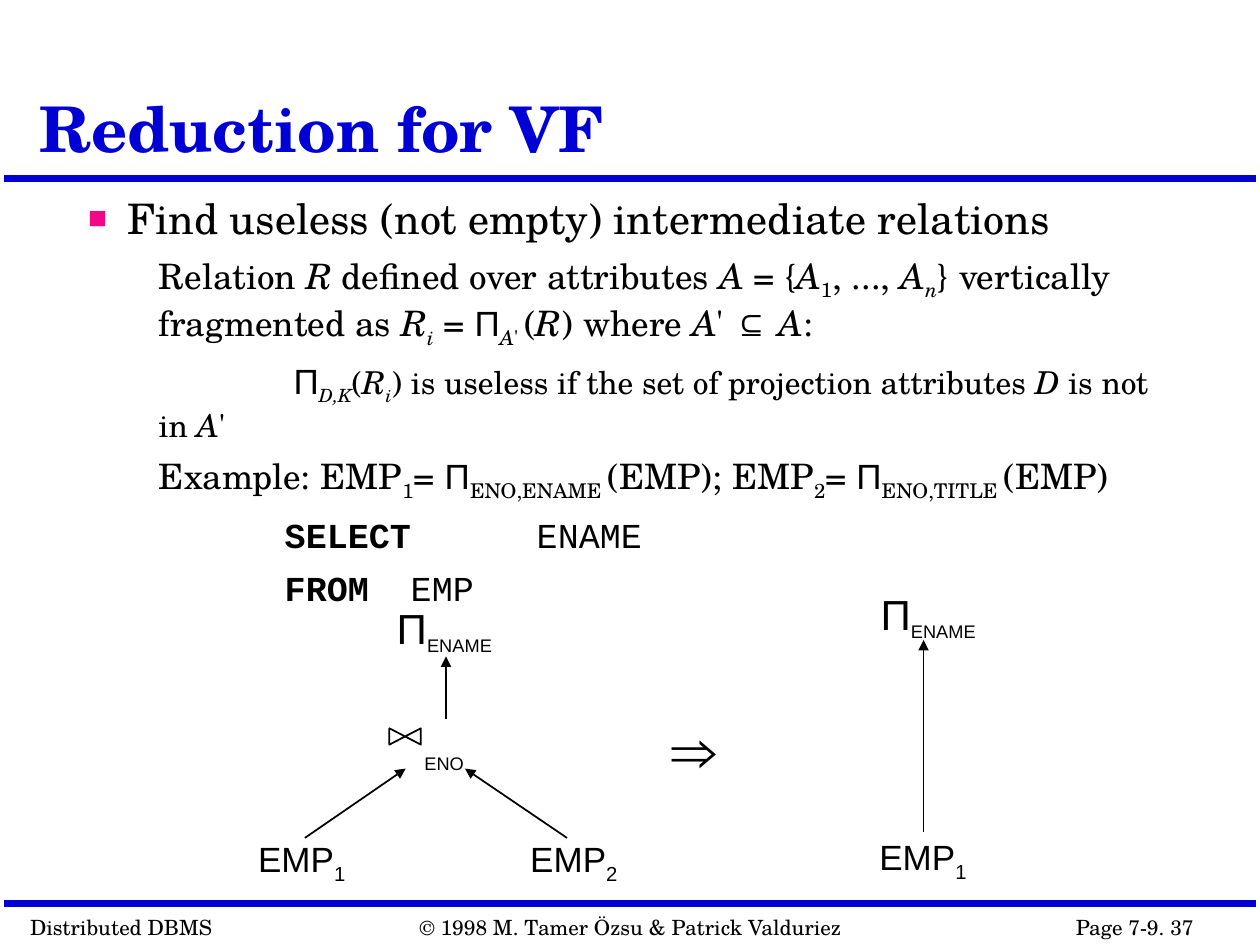
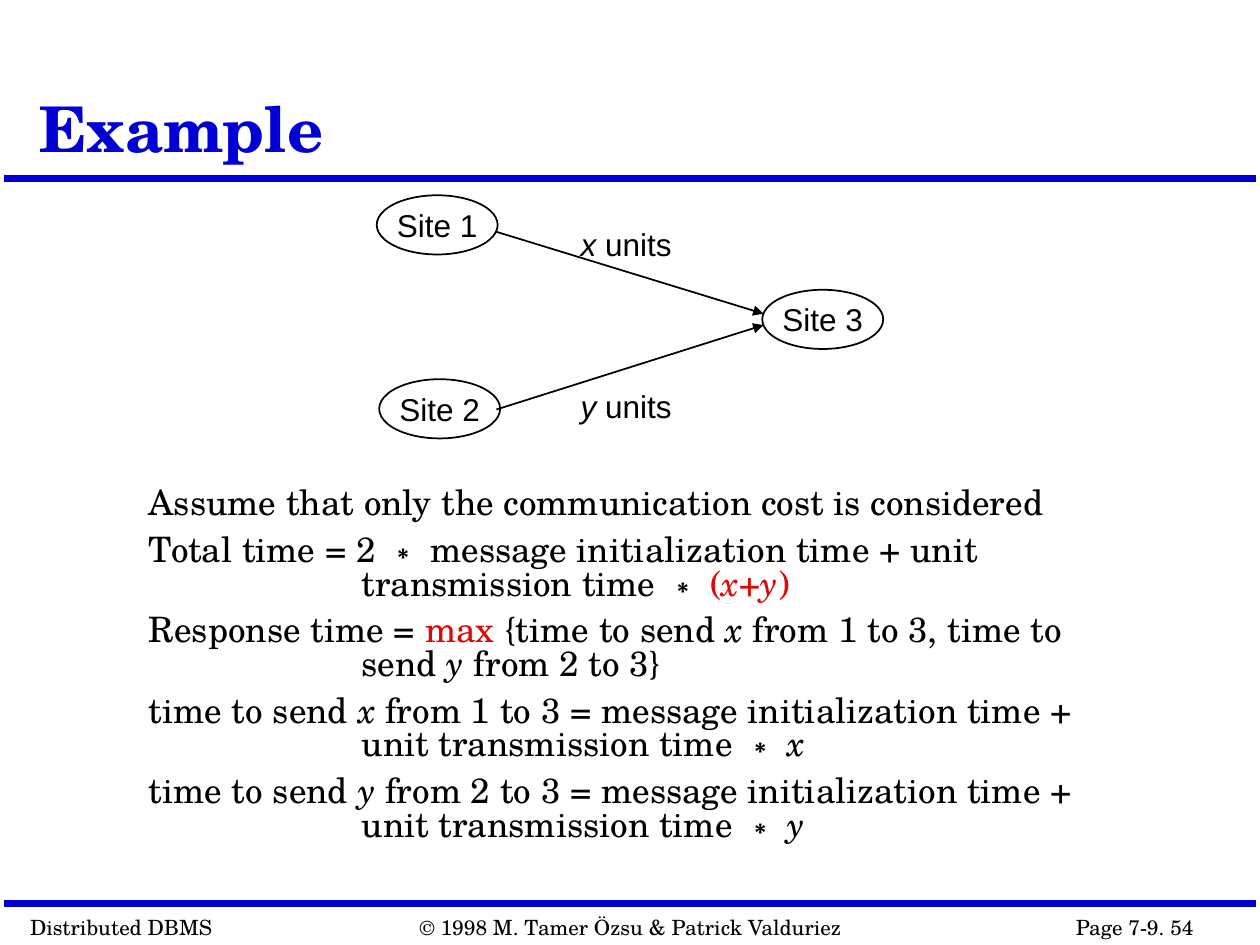
from dataclasses import dataclass

from lxml.etree import SubElement
from pptx import Presentation
from pptx.dml.color import RGBColor
from pptx.enum.shapes import MSO_CONNECTOR, MSO_SHAPE
from pptx.enum.text import MSO_ANCHOR, MSO_AUTO_SIZE, PP_ALIGN
from pptx.oxml.ns import qn
from pptx.util import Inches, Pt


@dataclass(frozen=True)
class Theme:
    blue: RGBColor = RGBColor(0x00, 0x00, 0xD4)
    red: RGBColor = RGBColor(0xDD, 0x08, 0x06)
    black: RGBColor = RGBColor(0x00, 0x00, 0x00)
    white: RGBColor = RGBColor(0xFF, 0xFF, 0xFF)
    bullet: str = "F20884"
    serif: str = "TeX Gyre Schola"
    sans: str = "Arial"
    mono: str = "Courier New"
    title: int = 36
    operator: int = 24
    lead: int = 24
    body: int = 20
    detail: int = 18
    footer: int = 12


THEME = Theme()

# A run is a plain string or (text, marks). Marks: i italic, b bold, s subscript,
# a sans font, m monospaced font, r red, o operator size, n body size, d detail size.
REDUCTION_TEXT = [
    {"size": THEME.lead, "bullet": True,
     "runs": ["Find useless (not empty) intermediate relations"]},
    {"before": 6.2, "runs": [
        "Relation ", ("R", "i"), " defined over attributes ", ("A", "i"), " = {",
        ("A", "i"), ("1", "s"), ", ..., ", ("A", "i"), ("n", "is"),
        "} vertically fragmented as ", ("R", "i"), ("i", "is"), " = ", ("Π", "a"),
        ("A", "is"), ("' ", "s"), "(", ("R", "i"), ") where ", ("A", "i"), "' ",
        ("⊆ ", "a"), ("A", "i"), ":"]},
    {"before": 5.6, "size": THEME.detail, "runs": [
        "\t ", ("Π", "an"), ("D,K", "is"), "(", ("R", "i"), ("i", "is"),
        ") is useless if the set of projection attributes ", ("D", "i"),
        " is not in ", ("A", "i"), "'"]},
    {"before": 6.2, "runs": [
        "Example: EMP", ("1", "s"), "= ", ("Π", "a"), ("ENO,ENAME ", "s"),
        "(EMP); EMP", ("2", "s"), "= ", ("Π", "a"), ("ENO,TITLE ", "s"), "(EMP)"]},
    {"before": 6.2, "runs": [("\tSELECT\t", "mb"), ("ENAME", "m")]},
    {"before": 6.2, "runs": [("\tFROM\t", "mb"), ("EMP", "m")]},
]

PROJECTION = [("Π", "o"), ("ENAME", "sd")]
TREE_LABELS = [
    ((6.89, 4.62, 0.98, 0.52), PROJECTION),
    ((6.88, 6.58, 0.89, 0.48), ["EMP", ("1", "s")]),
    ((1.95, 6.6, 0.89, 0.48), ["EMP", ("1", "s")]),
    ((4.11, 6.6, 0.89, 0.48), ["EMP", ("2", "s")]),
    ((3.05, 4.73, 0.98, 0.52), PROJECTION),
    ((3.27, 5.75, 0.56, 0.44), [("ENO", "sd")]),
]
TREE_ARROWS = [
    (7.33, 6.6, 7.33, 5.08),
    (2.42, 6.65, 3.22, 6.1),
    (4.5, 6.65, 3.69, 6.1),
    (3.54, 5.71, 3.54, 5.21),
]
JOIN_SYMBOL = (3.15, 5.72, 0.13, 0.25)
IMPLIES_AREA = (5.23, 5.42, 1.01, 0.83)

COST_TEXT = [
    ["Assume that only the communication cost is considered"],
    ["Total time = 2 ", ("∗", "a"),
     " message initialization time + unit transmission time ", ("∗ ", "a"),
     ("(", "r"), ("x+y", "ri"), (")", "r")],
    ["Response time = ", ("max", "r"), " {time to send ", ("x", "i"),
     " from 1 to 3, time to send ", ("y", "i"), " from 2 to 3}"],
] + [
    ["time to send ", (amount, "i"), f" from {site} to 3 = message initialization time"
     " + unit transmission time ", ("∗ ", "a"), (amount, "i")]
    for amount, site in (("x", 1), ("y", 2))
]

SITE_SIZE = (0.96, 0.47)
SITES = [("Site 1", 2.99, 1.55), ("Site 2", 3.01, 3.01), ("Site 3", 6.05, 2.3)]
TRANSFERS = [
    ("x", 1.74, (3.94, 1.84, 6.06, 2.49)),
    ("y", 3.02, (3.94, 3.25, 6.06, 2.58)),
]

RULE_HEIGHTS = (1.42, 7.17)
FOOTERS = [
    ("Distributed DBMS", 0.14, 1.65),
    ("Page 7-9. {page}", 8.44, 1.76),
    ("© 1998 M. Tamer Özsu & Patrick Valduriez", 3.23, 3.57),
]


def inches(area):
    return [Inches(length) for length in area]


def place(shape, area):
    shape.left, shape.top, shape.width, shape.height = inches(area)


def add_runs(para, runs, size, font=THEME.serif, color=THEME.black):
    for run in runs:
        text, marks = (run, "") if isinstance(run, str) else run
        sizes = {"o": THEME.operator, "n": THEME.body, "d": THEME.detail}
        fonts = {"a": THEME.sans, "m": THEME.mono}
        span = para.add_run()
        span.text = text
        span.font.size = Pt(next((sizes[m] for m in marks if m in sizes), size))
        span.font.name = next((fonts[m] for m in marks if m in fonts), font)
        span.font.color.rgb = THEME.red if "r" in marks else color
        span.font.bold = "b" in marks
        span.font.italic = "i" in marks
        if "s" in marks:
            span.font._element.set("baseline", "-25000")


def set_layout(para, margin, indent, bullet=False):
    """Set indents, bullet and one-inch tab stops."""
    props = para._p.get_or_add_pPr()
    props.set("marL", str(Inches(margin)))
    props.set("indent", str(Inches(indent)))
    props.set("defTabSz", str(Inches(1)))
    if bullet:
        color = SubElement(props, qn("a:buClr"))
        SubElement(color, qn("a:srgbClr"), val=THEME.bullet)
        SubElement(props, qn("a:buSzPct"), val="75000")
        SubElement(props, qn("a:buFont"), typeface=THEME.sans)
        SubElement(props, qn("a:buChar"), char="■")
    else:
        SubElement(props, qn("a:buNone"))
    tabs = SubElement(props, qn("a:tabLst"))
    for stop in range(1, 8):
        SubElement(tabs, qn("a:tab"), pos=str(Inches(stop)), algn="l")


def paragraphs(frame, count):
    return [frame.paragraphs[0]] + [frame.add_paragraph() for _ in range(count - 1)]


def add_label(page, area, runs, size, font=THEME.sans, wrap=False):
    box = page.shapes.add_textbox(*inches(area))
    box.text_frame.word_wrap = wrap
    para = box.text_frame.paragraphs[0]
    add_runs(para, runs, size, font)
    return para


def add_line(page, ends, color, width, arrow=False):
    line = page.shapes.add_connector(MSO_CONNECTOR.STRAIGHT, *inches(ends))
    line.line.color.rgb = color
    line.line.width = Pt(width)
    if arrow:
        SubElement(line.line._get_or_add_ln(), qn("a:tailEnd"), type="triangle")
    SubElement(line._element.spPr, qn("a:effectLst"))


def add_outlined(page, kind, area):
    shape = page.shapes.add_shape(kind, *inches(area))
    shape.shadow.inherit = False
    shape.line.color.rgb = THEME.black
    shape.line.width = Pt(1)
    return shape


def add_page(deck, title, number, body_area):
    """Add a slide with title, rules and footers; return it with its body frame."""
    page = deck.slides.add_slide(deck.slide_layouts[1])
    for height in RULE_HEIGHTS:
        add_line(page, (0.03, height, 9.97, height), THEME.blue, 4)
    for text, left, width in FOOTERS:
        add_label(page, (left, 7.21, width, 0.3), [text.format(page=number)],
                  THEME.footer, THEME.serif)
    heading, body = page.shapes.title, page.placeholders[1]
    for holder, area, anchor in (
        (heading, (0.21, 0.12, 7.83, 1.25), MSO_ANCHOR.BOTTOM),
        (body, body_area, MSO_ANCHOR.TOP),
    ):
        place(holder, area)
        holder.text_frame.vertical_anchor = anchor
        holder.text_frame.auto_size = MSO_AUTO_SIZE.NONE
        holder.text_frame.word_wrap = True
    para = heading.text_frame.paragraphs[0]
    para.alignment = PP_ALIGN.LEFT
    para.line_spacing = 0.9
    add_runs(para, [(title, "b")], THEME.title, color=THEME.blue)
    return page, body.text_frame


def build_reduction(deck):
    page, frame = add_page(deck, "Reduction for VF", 37, (0.6, 1.48, 8.79, 3.54))
    for para, item in zip(paragraphs(frame, len(REDUCTION_TEXT)), REDUCTION_TEXT):
        bullet = item.get("bullet", False)
        para.level = 0 if bullet else 1
        set_layout(para, *((0.31, -0.31) if bullet else (0.56, 0)), bullet)
        para.space_before = Pt(item.get("before", 0))
        add_runs(para, item["runs"], item.get("size", THEME.body))
    for area, runs in TREE_LABELS:
        add_label(page, area, runs, THEME.body)
    for ends in TREE_ARROWS:
        add_line(page, ends, THEME.black, 1, arrow=True)
    implies = add_label(page, IMPLIES_AREA, ["⇒"], THEME.title, wrap=True)
    implies.line_spacing = 1.29
    join = add_outlined(page, MSO_SHAPE.FLOWCHART_COLLATE, JOIN_SYMBOL)
    join.fill.background()
    join.rotation = 270


def build_example(deck):
    page, frame = add_page(deck, "Example", 54, (1.08, 3.83, 7.83, 3.21))
    for index, para in enumerate(paragraphs(frame, len(COST_TEXT))):
        set_layout(para, 1.69, -1.69)
        para.line_spacing = 0.8
        para.space_before = Pt(7.5 if index else 0)
        add_runs(para, COST_TEXT[index], THEME.body)
    for name, left, top in SITES:
        site = add_outlined(page, MSO_SHAPE.OVAL, (left, top, *SITE_SIZE))
        site.fill.solid()
        site.fill.fore_color.rgb = THEME.white
        frame = site.text_frame
        frame.word_wrap = False
        frame.vertical_anchor = MSO_ANCHOR.MIDDLE
        frame.margin_left = frame.margin_right = 0
        frame.margin_top = frame.margin_bottom = 0
        frame.paragraphs[0].alignment = PP_ALIGN.CENTER
        add_runs(frame.paragraphs[0], [name], THEME.detail, THEME.sans)
    for amount, top, ends in TRANSFERS:
        add_label(page, (4.51, top, 0.92, 0.4), [(amount, "i"), " units"], THEME.detail)
        add_line(page, ends, THEME.black, 1, arrow=True)


def main():
    deck = Presentation()
    deck.slide_width, deck.slide_height = Inches(10), Inches(7.5)
    build_reduction(deck)
    build_example(deck)
    deck.save("out.pptx")


if __name__ == "__main__":
    main()
